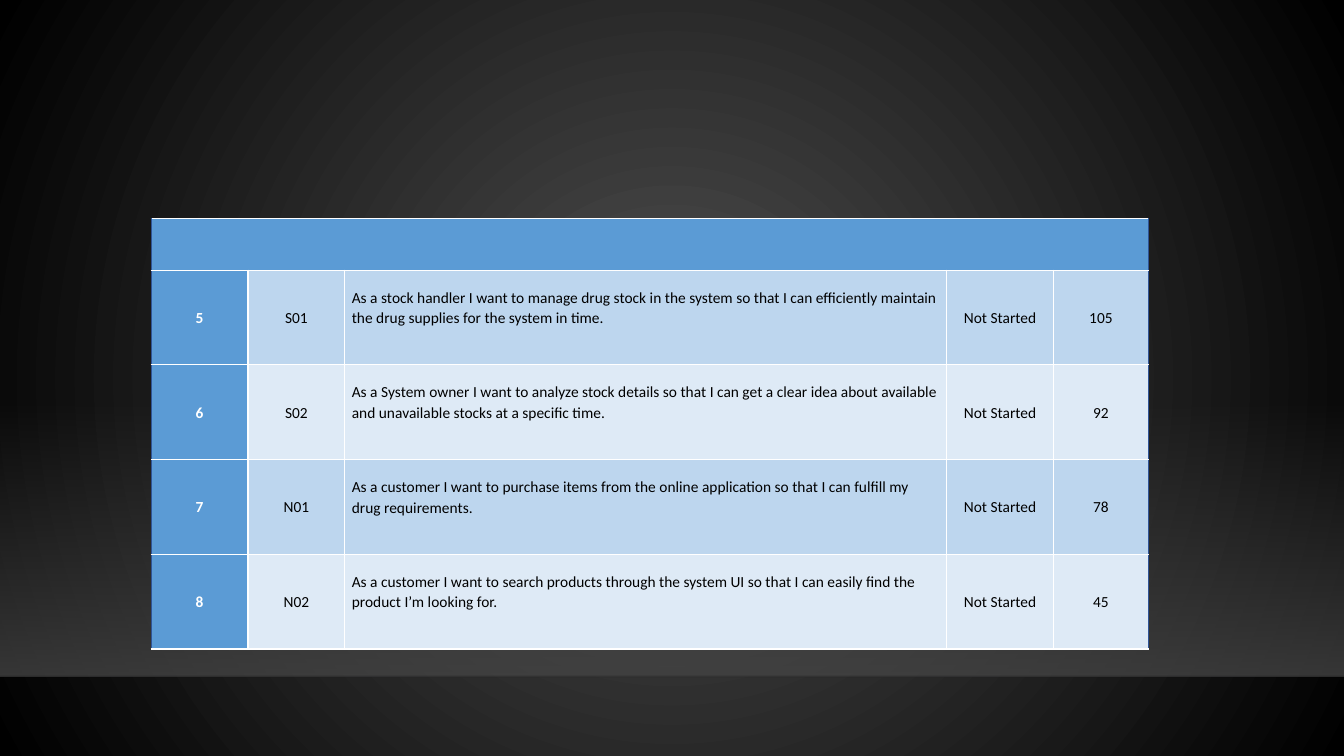
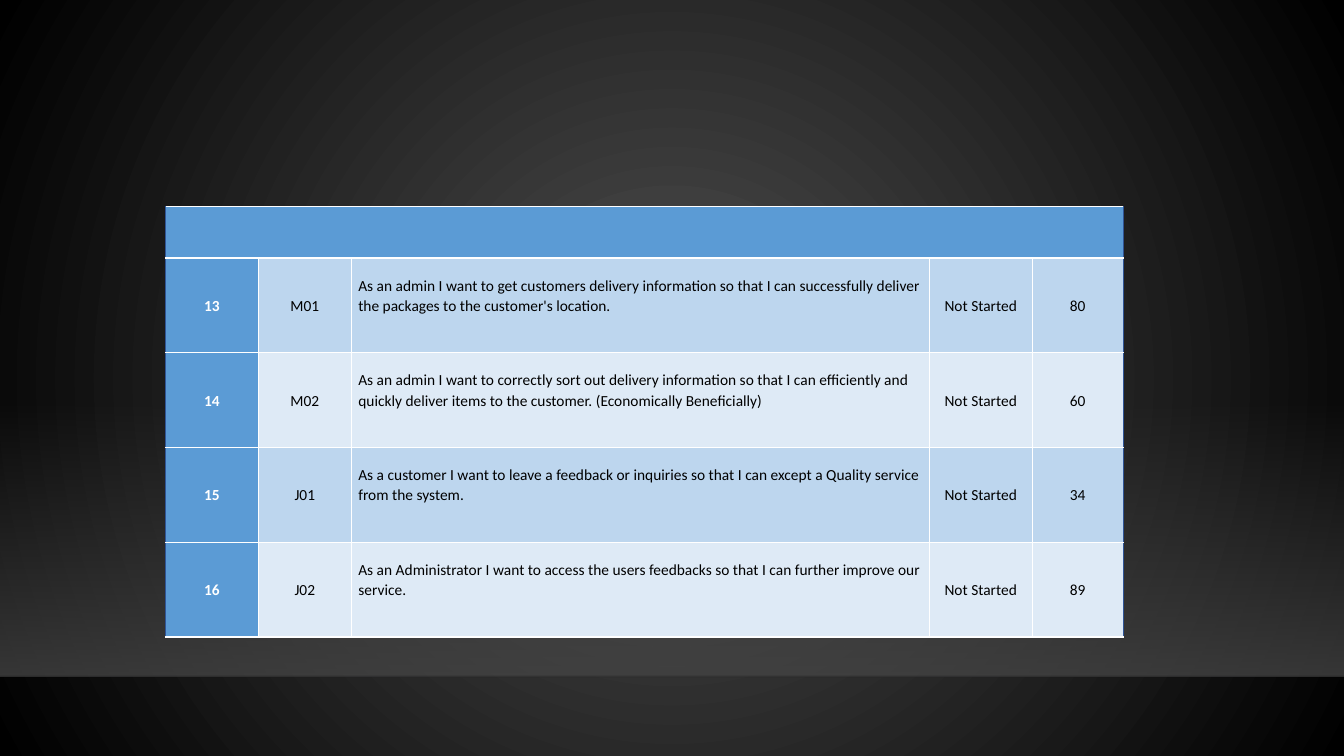
from lxml import etree
from pptx import Presentation
from pptx import util as u
from pptx.dml.color import RGBColor
from pptx.enum import shapes, text
from pptx.oxml.ns import qn

FONT = "Calibri"
WHITE, BLACK = "FFFFFF", "000000"
HEADER_BLUE, OUTER_BLUE = "5B9BD5", "2F5496"
ROW_BLUES = ("BDD6EE", "DEEAF6")
SLIDE_WIDTH, SLIDE_HEIGHT = 13.33, 7.5
FLOOR_TOP, FLOOR_HEIGHT = 3.96, 2.75

COLUMN_SHARES = (0.96, 0.96, 5.97, 1.06, 0.94)
HEADER_HEIGHT, ROW_HEIGHT = 0.51, 0.94
STORY_COLUMN = 2
STATUS = "Not Started"

BACKLOG_PAGES = [
    ((1.5, 2.17, 9.89), [
        ("5", "S01", "As a stock handler I want to manage drug stock in the system so that "
         "I can efficiently maintain the drug supplies for the system in time.", "105"),
        ("6", "S02", "As a System owner I want to analyze stock details so that I can get a "
         "clear idea about available and unavailable stocks at a specific time.", "92"),
        ("7", "N01", "As a customer I want to purchase items from the online application so "
         "that I can fulfill my drug requirements.", "78"),
        ("8", "N02", "As a customer I want to search products through the system UI so that "
         "I can easily find the product I’m looking for.", "45"),
    ]),
    ((1.64, 2.05, 9.5), [
        ("13", "M01", "As an admin I want to get customers delivery information so that I "
         "can successfully deliver the packages to the customer's location.", "80"),
        ("14", "M02", "As an admin I want to correctly sort out delivery information so that "
         "I can efficiently and quickly deliver items to the customer. "
         "(Economically Beneficially)", "60"),
        ("15", "J01", "As a customer I want to leave a feedback or inquiries so that I can "
         "except a Quality service from the system.", "34"),
        ("16", "J02", "As an Administrator I want to access the users feedbacks so that I "
         "can further improve our service.", "89"),
    ]),
]


def rgb(color):
    return RGBColor.from_string(color)


def add_child(parent, tag, **attributes):
    child = etree.SubElement(parent, qn(tag))
    for name, value in attributes.items():
        child.set(name, str(value))
    return child


def set_opacity(color_element, percent):
    add_child(color_element, "a:alpha", val=percent * 1000)


def replace_with_gradient(element, stops):
    """Swap the first solid fill for (position, colour, opacity) stops."""
    solid = element.xpath(".//a:solidFill")[0]
    gradient = etree.Element(qn("a:gradFill"), rotWithShape="1")
    stop_list = add_child(gradient, "a:gsLst")
    for position, color, opacity in stops:
        stop = add_child(stop_list, "a:gs", pos=position * 1000)
        set_opacity(add_child(stop, "a:srgbClr", val=color), opacity)
    solid.getparent().replace(solid, gradient)
    return gradient


def style_master(master, slide):
    """Give the master its backdrop; the slide serves to create the floor shapes."""
    master.background.fill.solid()
    master.background.fill.fore_color.rgb = rgb(BLACK)
    glow = replace_with_gradient(master.element, [(0, "505050", 100), (100, BLACK, 100)])
    path = add_child(glow, "a:path", path="circle")
    add_child(path, "a:fillToRect", l=50000, t=50000, r=50000, b=50000)

    floor = slide.shapes.add_shape(
        shapes.MSO_SHAPE.RECTANGLE, 0, u.Inches(FLOOR_TOP),
        u.Inches(SLIDE_WIDTH), u.Inches(FLOOR_HEIGHT))
    floor.shadow.inherit = False
    floor.line.fill.background()
    floor.fill.solid()
    fade = replace_with_gradient(floor.element, [(0, "454545", 0), (100, "454545", 80)])
    add_child(fade, "a:lin", ang=90 * 60000, scaled=0)

    edge_top = u.Inches(FLOOR_TOP + FLOOR_HEIGHT)
    edge = slide.shapes.add_connector(
        shapes.MSO_CONNECTOR.STRAIGHT, 0, edge_top, u.Inches(SLIDE_WIDTH), edge_top)
    edge.line.width = u.Pt(1)
    edge.line.color.rgb = rgb("000001")
    set_opacity(edge.element.xpath(".//a:ln//a:srgbClr")[0], 20)
    add_child(edge.element.spPr, "a:effectLst")

    tree = master.element.xpath(".//p:spTree")[0]
    for offset, shape in enumerate((floor, edge)):
        shape.element.xpath(".//p:cNvPr")[0].set("id", str(100 + offset))
        tree.insert(2 + offset, shape.element)


def set_borders(cell, left, right):
    """White rules above and below; a side given as None has no line."""
    properties = cell._tc.get_or_add_tcPr()
    sides = (("a:lnL", left), ("a:lnR", right), ("a:lnT", WHITE), ("a:lnB", WHITE))
    for tag, color in sides:
        line = add_child(properties, tag, w=u.Pt(1))
        if color:
            add_child(add_child(line, "a:solidFill"), "a:srgbClr", val=color)
        else:
            add_child(line, "a:noFill")


def write_cell(cell, words, column):
    cell.vertical_anchor = text.MSO_ANCHOR.MIDDLE
    cell.margin_left = cell.margin_right = u.Inches(0.07)
    cell.margin_top = 0
    cell.margin_bottom = u.Inches(0.2 if column == STORY_COLUMN else 0)
    cell.text = words
    paragraph = cell.text_frame.paragraphs[0]
    paragraph.line_spacing = 1.07
    paragraph.alignment = (
        text.PP_ALIGN.LEFT if column == STORY_COLUMN else text.PP_ALIGN.CENTER)
    paragraph.font.name = FONT
    paragraph.font.size = u.Pt(11)
    paragraph.font.bold = column == 0
    paragraph.font.color.rgb = rgb(WHITE if column == 0 else BLACK)


def add_backlog_table(slide, box, stories):
    left, top, width = box
    height = HEADER_HEIGHT + ROW_HEIGHT * len(stories)
    last = len(COLUMN_SHARES) - 1
    table = slide.shapes.add_table(
        len(stories) + 1, len(COLUMN_SHARES),
        u.Inches(left), u.Inches(top), u.Inches(width), u.Inches(height)).table
    table.first_row = table.horz_banding = False
    for column, share in zip(table.columns, COLUMN_SHARES):
        column.width = u.Inches(width * share / sum(COLUMN_SHARES))
    for index, row in enumerate(table.rows):
        is_header = index == 0
        row.height = u.Inches(HEADER_HEIGHT if is_header else ROW_HEIGHT)
        inner = None if is_header else WHITE
        for column, cell in enumerate(row.cells):
            set_borders(cell, OUTER_BLUE if column == 0 else inner,
                        OUTER_BLUE if column == last else inner)
            cell.fill.solid()
            is_blue = is_header or column == 0
            cell.fill.fore_color.rgb = rgb(
                HEADER_BLUE if is_blue else ROW_BLUES[(index - 1) % 2])
        if not is_header:
            number, code, story, points = stories[index - 1]
            for column, words in enumerate((number, code, story, STATUS, points)):
                write_cell(row.cells[column], words, column)


def main():
    presentation = Presentation()
    presentation.slide_width = u.Inches(SLIDE_WIDTH)
    presentation.slide_height = u.Inches(SLIDE_HEIGHT)
    blank = presentation.slide_layouts[6]
    slides = [presentation.slides.add_slide(blank) for _ in BACKLOG_PAGES]
    style_master(presentation.slide_master, slides[0])
    for slide, (box, stories) in zip(slides, BACKLOG_PAGES):
        add_backlog_table(slide, box, stories)
    presentation.save("out.pptx")


if __name__ == "__main__":
    main()
